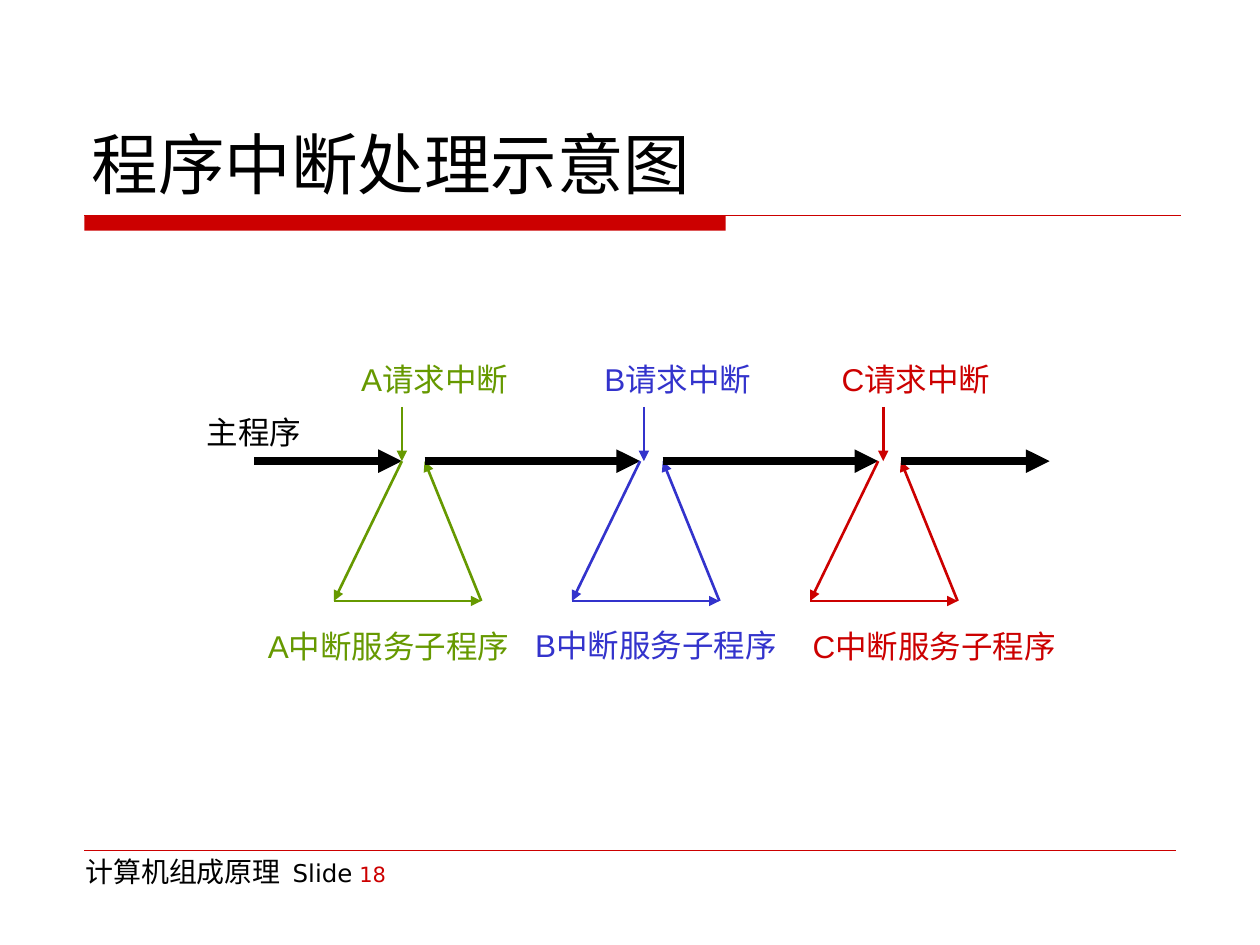
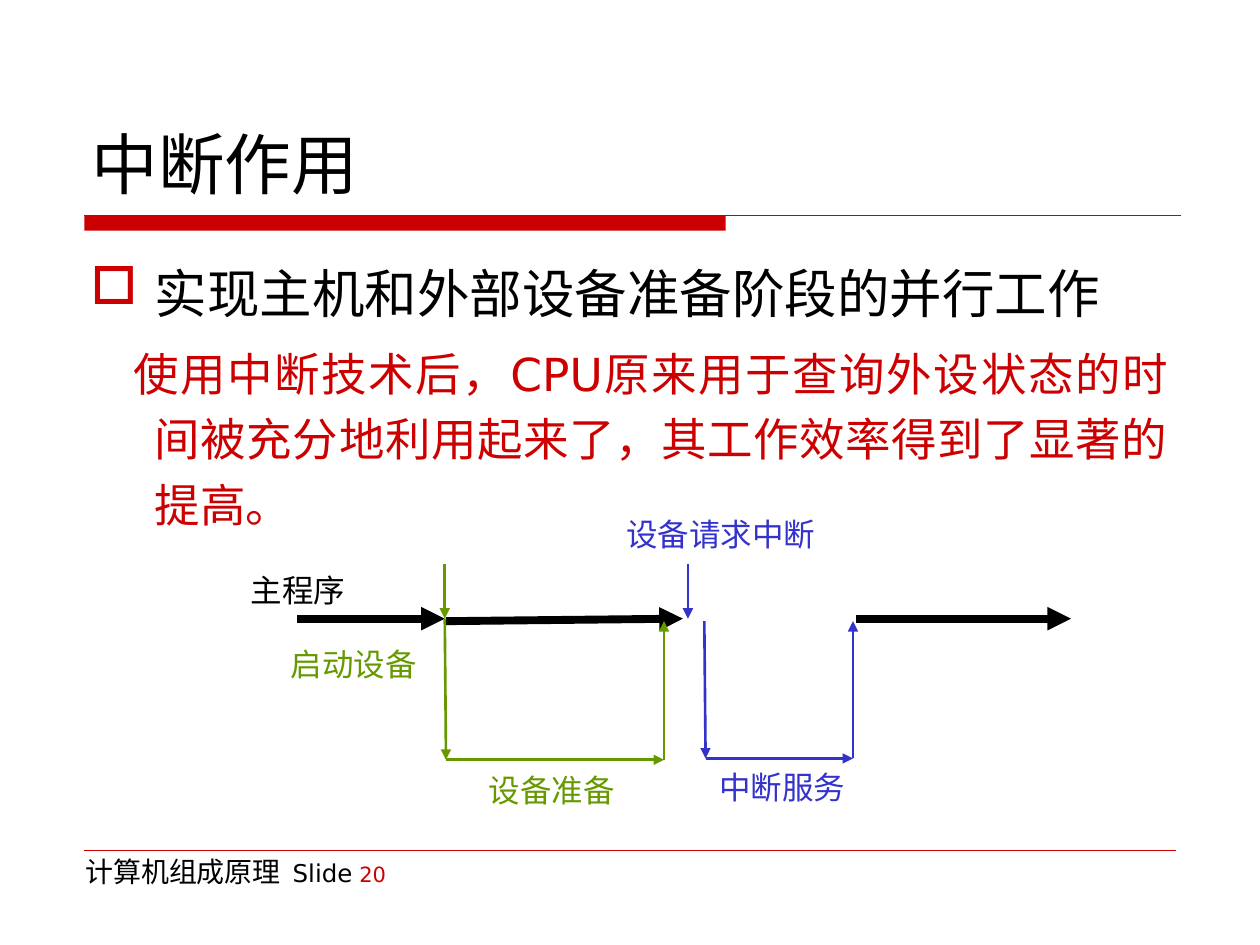
from lxml import etree
from pptx import Presentation
from pptx.dml.color import RGBColor
from pptx.enum.shapes import MSO_CONNECTOR, MSO_SHAPE
from pptx.enum.text import MSO_ANCHOR, PP_ALIGN
from pptx.oxml.ns import qn
from pptx.util import Pt

PX = 9144
LINE = MSO_CONNECTOR.STRAIGHT
RECT = MSO_SHAPE.RECTANGLE
BASE = MSO_ANCHOR.BOTTOM
LEFT, MID, FULL = PP_ALIGN.LEFT, PP_ALIGN.CENTER, PP_ALIGN.JUSTIFY
BLACK, GREEN, BLUE, RED = "000000", "669900", "3333CC", "CC0000"
SANS, ARIAL = "DejaVu Sans", "Arial"
rgb = RGBColor.from_string


def write(slide, area, paras, face=ARIAL, align=MID, wrap=False):
    frame = slide.shapes.add_textbox(*[n * PX for n in area]).text_frame
    frame.word_wrap = wrap
    for i, parts in enumerate(paras):
        para = frame.add_paragraph() if i else frame.paragraphs[0]
        para.alignment = align
        for words, size, hue in parts:
            run = para.add_run()
            run.text = words
            run.font.name = face
            run.font.size = Pt(size)
            run.font.color.rgb = rgb(hue)
    return frame


def draw(slide, ends, hue, width=1.5, head=True):
    line = slide.shapes.add_connector(LINE, *[n * PX for n in ends])
    line.line.color.rgb = rgb(hue)
    line.line.width = Pt(width)
    if head:
        etree.SubElement(line.line._get_or_add_ln(), qn("a:tailEnd"), type="triangle")
    etree.SubElement(line._element.spPr, qn("a:effectLst"))


deck = Presentation()
deck.slide_width = 1000 * PX
deck.slide_height = 750 * PX
pages = []
for title, number in [("程序中断处理示意图", "18"), ("中断作用", "20")]:
    page = deck.slides.add_slide(deck.slide_layouts[6])
    band = page.shapes.add_shape(RECT, 67 * PX, 171 * PX, 509 * PX, 12 * PX)
    band.shadow.inherit = False
    band.fill.solid()
    band.fill.fore_color.rgb = rgb(RED)
    band.line.fill.background()
    draw(page, (67, 171, 937, 171), RED, 0.75, False)
    draw(page, (67, 675, 933, 675), RED, 0.25, False)
    foot = [("计算机组成原理 ", 16, BLACK), (" Slide", 14, BLACK),
            (" ", 12, BLACK), (number, 12, RED)]
    write(page, (58, 673, 300, 52), [foot], SANS, LEFT, True)
    head = write(page, (63, 33, 875, 133), [[(title, 38, BLACK)]], SANS, LEFT, True)
    head.vertical_anchor = BASE
    pages.append(page)

flow, role = pages

top, low = 366, 477
draw(flow, (202, top, 319, top), BLACK, 4.5)
cycles = [("A", GREEN, 319, 319, 345, 308, 493, 508),
          ("B", BLUE, 508, 511, 538, 520, 492, 697),
          ("C", RED, 697, 701, 727, 741, 493, 833)]
for name, hue, x, call, ask, serve, y, stop in cycles:
    left, right, back = x - 54, x + 63, x + 18
    draw(flow, (x, top, left, low), hue)
    draw(flow, (left, low, right, low), hue)
    draw(flow, (right, low, back, top), hue)
    draw(flow, (back, top, stop, top), BLACK, 4.5)
    draw(flow, (call, 323, call, top), hue)
    write(flow, (ask - 71, 281, 142, 40), [[(name + "请求中断", 18, hue)]])
    write(flow, (serve - 108, y, 217, 40), [[(name + "中断服务子程序", 18, hue)]])
write(flow, (154, 323, 95, 40), [[("主程序", 18, BLACK)]])

body = write(role, (62, 192, 875, 255), [
    [("实现主机和外部设备准备阶段的并行工作", 30, BLACK)],
    [("使用中断技术后，CPU原来用于查询外设状态的时间被充分地利用起来了，"
      "其工作效率得到了显著的提高。", 26, RED)],
], SANS, FULL, True)
for para, dent in zip(body.paragraphs, (-51, -17)):
    para.line_spacing = 1.2
    props = para._p.get_or_add_pPr()
    props.set("marL", str(51 * PX))
    props.set("indent", str(dent * PX))
lead, note = body.paragraphs
note.space_before = Pt(6.5)
props = lead._p.get_or_add_pPr()
tint = etree.SubElement(props, qn("a:buClr"))
etree.SubElement(tint, qn("a:srgbClr"), val=RED)
etree.SubElement(props, qn("a:buChar"), char="□")

for ends in [(236, 491, 353, 491), (354, 493, 542, 491), (679, 491, 850, 491)]:
    draw(role, ends, BLACK, 4.5)
loops = [(GREEN, 353, 491, 354, 527, 603, 353),
         (BLUE, 559, 493, 560, 677, 602, 546)]
for hue, x, y, left, right, low, call in loops:
    draw(role, (x, y, left, low), hue)
    draw(role, (left, low, right, low), hue)
    draw(role, (right, low, right, 493), hue)
    draw(role, (call, 448, call, 491), hue)
labels = [("主程序", BLACK, 189, 448, 95), ("启动设备", GREEN, 221, 507, 120),
          ("设备请求中断", BLUE, 487, 404, 170), ("设备准备", GREEN, 378, 607, 120),
          ("中断服务", BLUE, 561, 605, 120)]
for words, hue, x, y, wide in labels:
    write(role, (x, y, wide, 40), [[(words, 18, hue)]])

deck.save("out.pptx")
